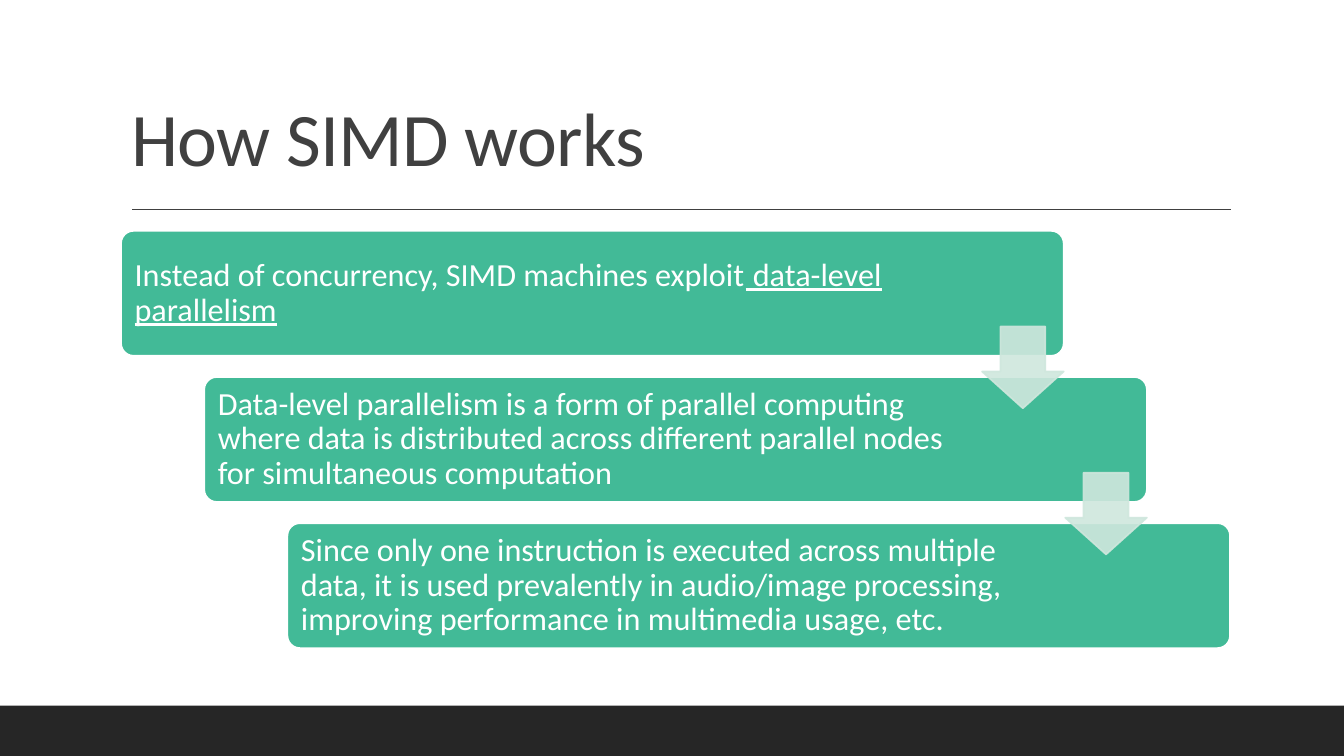
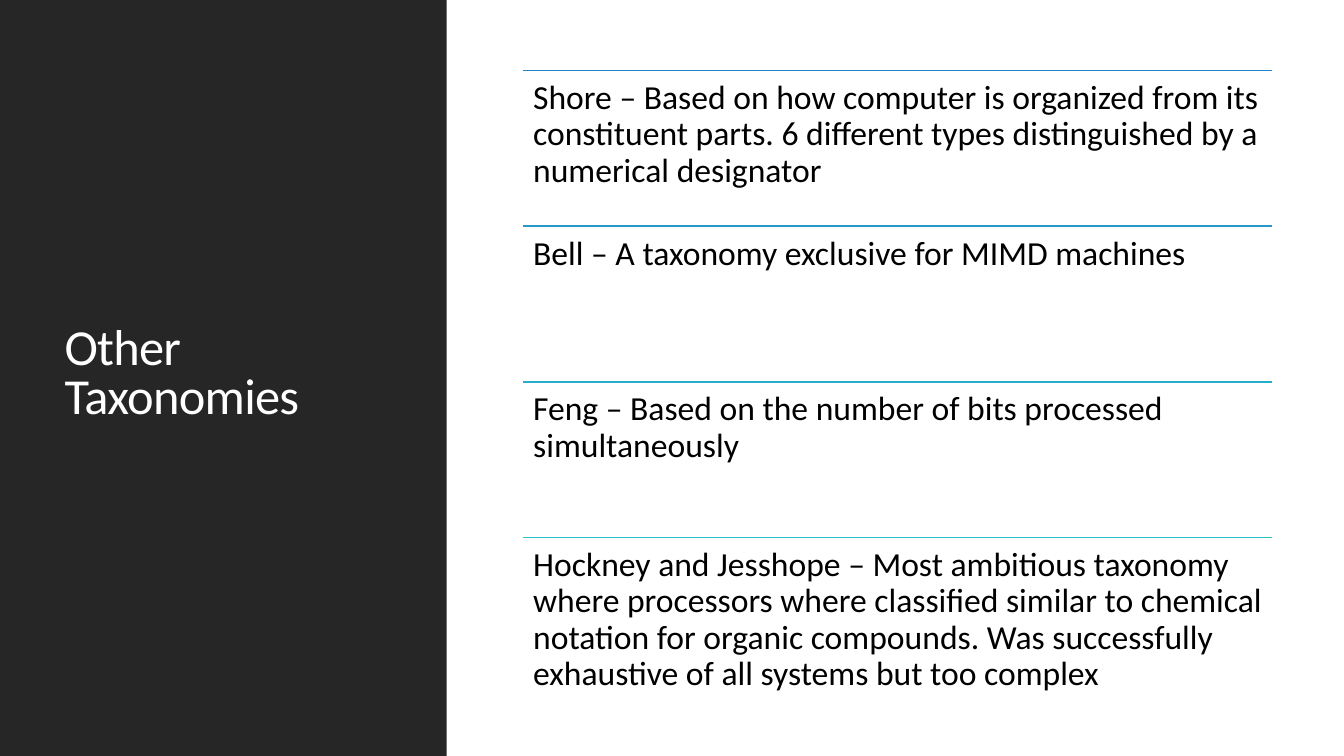
import pptx
import pptx.util
import pptx.dml.color
import pptx.enum.shapes
import pptx.enum.text
import pptx.oxml.ns
from lxml import etree

Inches, Pt = pptx.util.Inches, pptx.util.Pt
SHAPE = pptx.enum.shapes.MSO_SHAPE
ANCHOR = pptx.enum.text.MSO_ANCHOR
qn = pptx.oxml.ns.qn

# Content
STEPS_TITLE = "How SIMD works"
# Each step: its runs as (text, underlined), and the room kept free at its right
STEPS = [
    ([("Instead of concurrency, SIMD machines exploit", False),
      (" data-level parallelism", True)], 1.36),
    ([("Data-level parallelism is a form of parallel computing where data is "
       "distributed across different parallel nodes for simultaneous computation", False)], 1.73),
    ([("Since only one instruction is executed across multiple data, it is used "
       "prevalently in audio/image processing, improving performance in multimedia "
       "usage, etc.", False)], 1.73),
]
TAXONOMIES_TITLE = "Other Taxonomies"
TAXONOMIES = [
    ("Shore – Based on how computer is organized from its constituent parts. "
     "6 different types distinguished by a numerical designator", "2683C6"),
    ("Bell – A taxonomy exclusive for MIMD machines", "2798C8"),
    ("Feng – Based on the number of bits processed simultaneously", "27AECA"),
    ("Hockney and Jesshope – Most ambitious taxonomy where processors where "
     "classified similar to chemical notation for organic compounds. Was "
     "successfully exhaustive of all systems but too complex", "28C4CC"),
]

# Shared style
FONT = "Calibri"
COLORS = {"dark": "262626", "title": "404040", "card": "42BA97",
          "arrow": "CFE7DD", "white": "FFFFFF", "black": "000000"}
SLIDE_W, SLIDE_H = 13.33, 7.5


def rgb(value):
    return pptx.dml.color.RGBColor.from_string(value)


def add_block(slide, kind, box, fill, outline=None):
    block = slide.shapes.add_shape(kind, *map(Inches, box))
    block.shadow.inherit = False
    block.fill.solid()
    block.fill.fore_color.rgb = rgb(fill)
    if outline:
        block.line.color.rgb = rgb(outline)
        block.line.width = Pt(1.25)
    else:
        block.line.fill.background()
    return block


def add_rule(slide, left, right, y, color, width):
    rule = slide.shapes.add_connector(
        pptx.enum.shapes.MSO_CONNECTOR.STRAIGHT,
        Inches(left), Inches(y), Inches(right), Inches(y))
    rule.line.color.rgb = rgb(color)
    rule.line.width = Pt(width)
    etree.SubElement(rule.element.spPr, qn("a:effectLst"))


def write(frame, runs, size, color, spacing, anchor, right_inset=0.1, tracking=None):
    frame.word_wrap = True
    frame.auto_size = pptx.enum.text.MSO_AUTO_SIZE.NONE
    frame.vertical_anchor = anchor
    frame.margin_left = frame.margin_top = frame.margin_bottom = Inches(0.1)
    frame.margin_right = Inches(right_inset)
    paragraph = frame.paragraphs[0]
    paragraph.alignment = pptx.enum.text.PP_ALIGN.LEFT
    paragraph.line_spacing = spacing
    for text, underlined in runs:
        run = paragraph.add_run()
        run.text = text
        run.font.name = FONT
        run.font.size = Pt(size)
        run.font.color.rgb = rgb(color)
        if underlined:
            run.font.underline = True
        if tracking:
            run.font._element.set("spc", str(tracking))


def set_title(slide, text, box, size, color, anchor):
    title = slide.shapes.title
    title.left, title.top, title.width, title.height = map(Inches, box)
    write(title.text_frame, [(text, False)], size, color, 0.8, anchor, tracking=-50)
    # Bring the title in front of any panel
    title.element.getparent().append(title.element)


def make_translucent(block, percent):
    for color in block.element.spPr.iter(qn("a:srgbClr")):
        etree.SubElement(color, qn("a:alpha")).set("val", str(percent * 1000))


def build_steps(slide):
    add_block(slide, SHAPE.RECTANGLE, (0, 7, SLIDE_W, 0.5), COLORS["dark"])
    add_rule(slide, 1.31, 12.21, 2.08, COLORS["title"], 1)
    set_title(slide, STEPS_TITLE, (1.2, 0.31, 11, 1.59), 54, COLORS["title"], ANCHOR.BOTTOM)

    # Staircase of cards
    left, top, width, height = 1.2, 2.29, 9.35, 1.24
    step_x, step_y, arrow_size = 0.825, 1.45, 0.81
    for i, (runs, right_inset) in enumerate(STEPS):
        card = add_block(slide, SHAPE.ROUNDED_RECTANGLE,
                         (left + i * step_x, top + i * step_y, width, height),
                         COLORS["card"], COLORS["white"])
        card.adjustments[0] = 0.1
        write(card.text_frame, runs, 23, COLORS["white"], 0.9, ANCHOR.MIDDLE, right_inset)

    # Arrows from each card to the next
    for i in range(len(STEPS) - 1):
        arrow = add_block(slide, SHAPE.DOWN_ARROW,
                          (left + width - arrow_size + i * step_x, 3.24 + i * step_y,
                           arrow_size, arrow_size), COLORS["arrow"], COLORS["arrow"])
        arrow.adjustments[0] = 0.45
        arrow.adjustments[1] = 0.45
        arrow.adjustments[0] = 0.55
        make_translucent(arrow, 90)


def build_taxonomies(slide):
    add_block(slide, SHAPE.RECTANGLE, (0, 0, 4.43, SLIDE_H), COLORS["dark"])
    set_title(slide, TAXONOMIES_TITLE, (0.54, 0.57, 3.37, 6.31), 36,
              COLORS["white"], ANCHOR.MIDDLE)

    # Ruled rows of equal height
    left, top, width, row_height = 5.19, 0.7, 7.43, 1.544
    for i, (text, color) in enumerate(TAXONOMIES):
        y = top + i * row_height
        add_rule(slide, left, left + width, y, color, 1.25)
        entry = slide.shapes.add_textbox(*map(Inches, (left, y, width, row_height)))
        write(entry.text_frame, [(text, False)], 24, COLORS["black"], 0.9, ANCHOR.TOP)


def main():
    deck = pptx.Presentation()
    deck.slide_width, deck.slide_height = Inches(SLIDE_W), Inches(SLIDE_H)
    title_only = deck.slide_layouts[5]
    for build in (build_steps, build_taxonomies):
        build(deck.slides.add_slide(title_only))
    deck.save("out.pptx")


if __name__ == "__main__":
    main()
